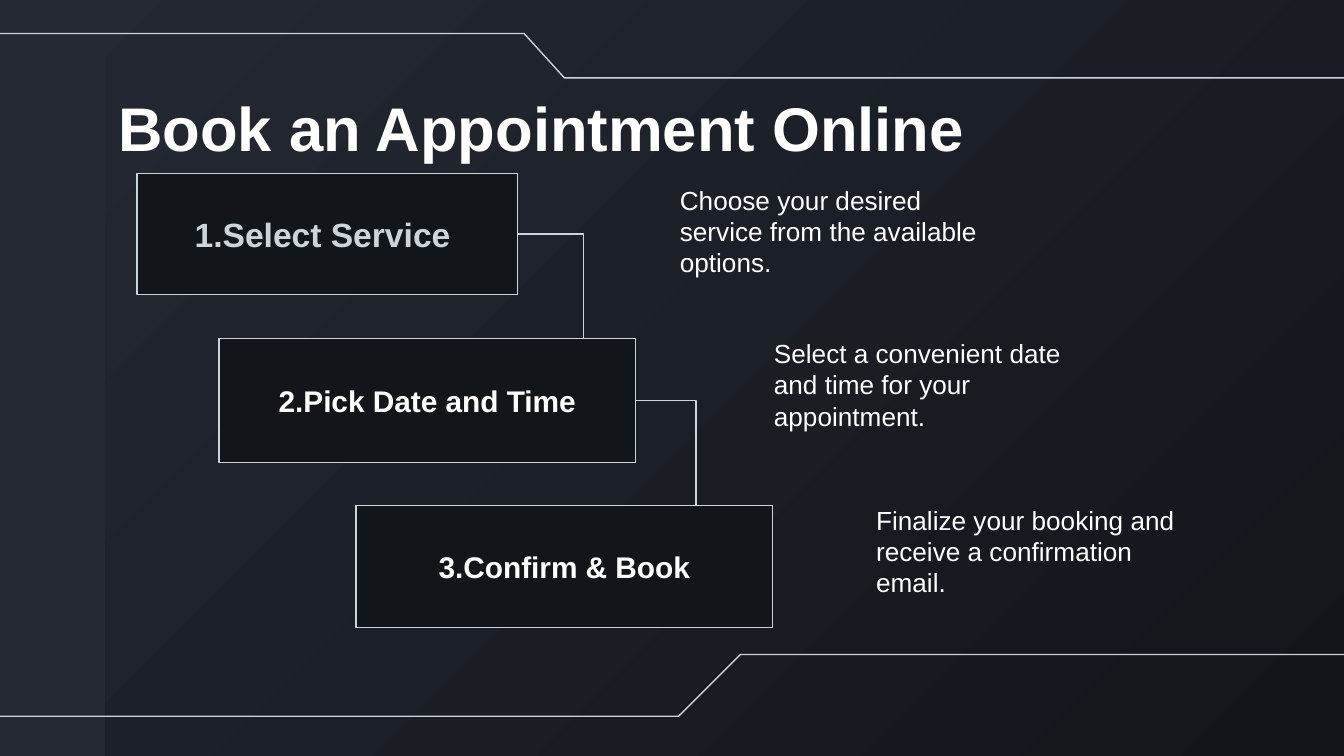
"""Build the three-step appointment booking slide."""
import pptx
import pptx.dml.color
import pptx.enum.shapes
import pptx.enum.text
import pptx.oxml
import pptx.oxml.ns
import pptx.util

WIDTH = 10
HEIGHT = WIDTH * 9 / 16
DARK, SLATE, SILVER, WHITE = "12151A", "242933", "CCD4DB", "FFFFFF"
TITLE = "Book an Appointment Online"
NOTE_WIDTH, NOTE_HEIGHT = 2.48, 0.48
STEPS = [
    {"text": "1.Select Service ", "box": (1.02, 1.29, 2.83, 0.9), "size": 18, "color": SILVER,
     "note": "Choose your desired service from the available options.", "note_at": (4.96, 1.48)},
    {"text": "2.Pick Date and Time", "box": (1.63, 2.52, 3.1, 0.92), "size": 16, "color": WHITE,
     "note": "Select a convenient date and time for your appointment.", "note_at": (5.66, 2.62)},
    {"text": "3.Confirm & Book", "box": (2.65, 3.76, 3.1, 0.91), "size": 16, "color": WHITE,
     "note": "Finalize your booking and receive a confirmation email.", "note_at": (6.42, 3.86)},
]
ELBOW_X = [4.34, 5.18]
FRAME_LINES = [
    [(0, 0.25), (3.9, 0.25), (4.2, 0.58), (WIDTH, 0.58)],
    [(0, 5.33), (5.05, 5.33), (5.51, 4.87), (WIDTH, 4.87)],
]
ANCHOR = pptx.enum.text.MSO_ANCHOR
ALIGN = pptx.enum.text.PP_ALIGN


def rgb(value):
    return pptx.dml.color.RGBColor.from_string(value)


def inches(*values):
    return [pptx.util.Inches(v) for v in values]


def outline(shape):
    shape.line.color.rgb = rgb(SILVER)
    shape.line.width = pptx.util.Pt(0.75)


def write(shape, text, size, color=WHITE, bold=False, align=ALIGN.LEFT,
          anchor=ANCHOR.MIDDLE):
    tf = shape.text_frame
    inset = pptx.util.Inches(0.1)
    frame = {"word_wrap": True, "auto_size": pptx.enum.text.MSO_AUTO_SIZE.NONE,
             "vertical_anchor": anchor, "margin_left": inset, "margin_right": inset,
             "margin_top": inset, "margin_bottom": inset}
    p = tf.paragraphs[0]
    p.alignment = align
    r = p.add_run()
    r.text = text
    font = {"name": "Arial", "size": pptx.util.Pt(size), "bold": bold}
    for target, values in ((tf, frame), (r.font, font)):
        for name, value in values.items():
            setattr(target, name, value)
    r.font.color.rgb = rgb(color)


def add_box(s, at, fill):
    box = s.shapes.add_shape(pptx.enum.shapes.MSO_SHAPE.RECTANGLE, *inches(*at))
    box.shadow.inherit = False
    box.fill.solid()
    box.fill.fore_color.rgb = rgb(fill)
    return box


def add_frame_line(s, points):
    start, *rest = [inches(*point) for point in points]
    builder = s.shapes.build_freeform(*start)
    builder.add_line_segments(rest, close=False)
    line = builder.convert_to_shape()
    line.shadow.inherit = False
    line.fill.background()
    outline(line)


def add_elbow(s, start, end):
    kind = pptx.enum.shapes.MSO_CONNECTOR.ELBOW
    elbow = s.shapes.add_connector(kind, *inches(*start, *end))
    outline(elbow)
    properties = elbow._element.spPr
    properties.find(pptx.oxml.ns.qn("a:prstGeom")).set("prst", "bentConnector2")
    properties.append(pptx.oxml.parse_xml(
        f"<a:effectLst {pptx.oxml.ns.nsdecls('a')}/>"))


def main():
    prs = pptx.Presentation()
    prs.slide_width, prs.slide_height = inches(WIDTH, HEIGHT)
    s = prs.slides.add_slide(prs.slide_layouts[5])

    fill = s.background.fill
    fill.gradient()
    fill.gradient_angle = 135
    for stop, color in zip(fill.gradient_stops, (DARK, SLATE)):
        stop.color.rgb = rgb(color)

    add_box(s, (0, 0, 0.78, HEIGHT), SLATE).line.fill.background()
    for points in FRAME_LINES:
        add_frame_line(s, points)

    title = s.shapes.title
    title.left, title.top, title.width, title.height = inches(0.78, 0.57, 8.44, 0.63)
    write(title, TITLE, 33, bold=True, anchor=ANCHOR.TOP)

    for step in STEPS:
        box = add_box(s, step["box"], DARK)
        outline(box)
        write(box, step["text"], step["size"], step["color"], bold=True, align=ALIGN.CENTER)
        note = s.shapes.add_textbox(*inches(*step["note_at"], NOTE_WIDTH, NOTE_HEIGHT))
        write(note, step["note"], 14)

    for step, following, x in zip(STEPS, STEPS[1:], ELBOW_X):
        left, top, width, height = step["box"]
        add_elbow(s, (left + width, top + height / 2), (x, following["box"][1]))

    prs.save("out.pptx")


if __name__ == "__main__":
    main()
